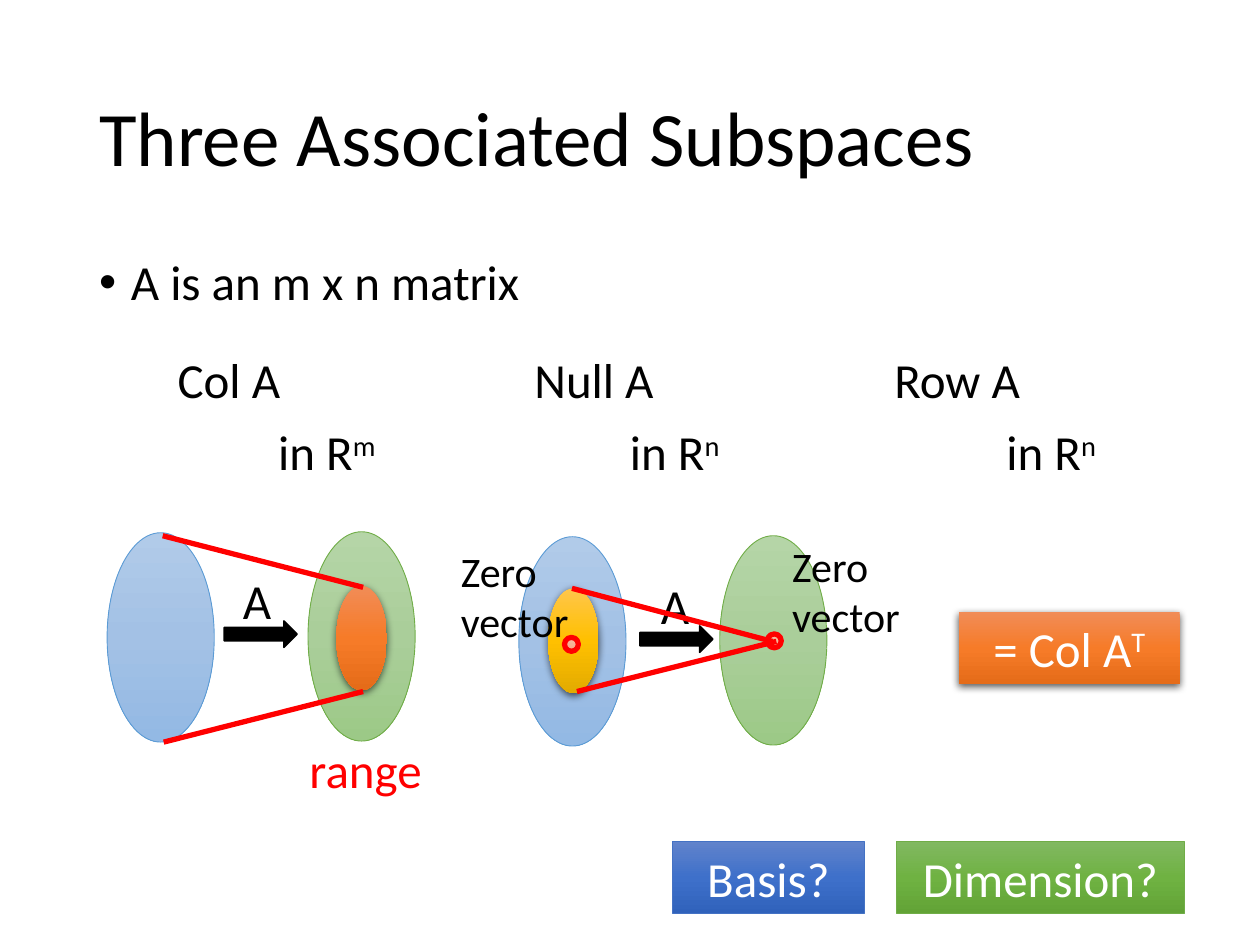
from lxml.etree import SubElement
from copy import deepcopy
from pptx import Presentation
from pptx.dml.color import RGBColor
from pptx.enum.shapes import MSO_CONNECTOR, MSO_SHAPE
from pptx.enum.text import MSO_ANCHOR, MSO_AUTO_SIZE, PP_ALIGN
from pptx.oxml.ns import qn
from pptx.util import Cm, Pt

BLACK, WHITE, RED = "000000", "FFFFFF", "FF0000"

# Gradients from top to bottom
BLUE = ("6183CB", "3E70CA", "3062BB")
GREEN = ("81B861", "6FB242", "62A336")
ORANGE = ("F18C57", "F67B28", "E56C19")
GOLD = ("FFC64B", "FFC000", "E3AB00")
PALE_BLUE = ("B1CBE9", "A3C1E5", "93B9E4")
PALE_GREEN = ("B5D5A7", "AACE9A", "9CC987")
PALE_ORANGE = ("F7BDA5", "F5B196", "F8A582")

LABEL_HEIGHT = 1.45
SPACE_SIZE = (2.16, 4.22)
SUBSPACE_SIZE = (1.02, 2.11)
DOT_SIZE = (0.28, 0.28)


def color(hex_value):
    return RGBColor.from_string(hex_value)


def lengths(*values):
    return [Cm(value) for value in values]


def write(owner, text, size=28, ink=BLACK, align=PP_ALIGN.CENTER,
          superscript="", grow=True):
    frame = owner.text_frame
    frame.word_wrap = True
    frame.text = text
    paragraph = frame.paragraphs[0]
    paragraph.alignment = align
    if superscript:
        raised = paragraph.add_run()
        raised.text = superscript
        raised._r.get_or_add_rPr().set("baseline", "30000")
    for run in paragraph.runs:
        run.font.name = "Calibri"
        run.font.size = Pt(size)
        run.font.color.rgb = color(ink)
    if grow:
        frame.auto_size = MSO_AUTO_SIZE.SHAPE_TO_FIT_TEXT
    return paragraph


def add_label(slide, left, top, width, text, height=LABEL_HEIGHT, **style):
    label = slide.shapes.add_textbox(*lengths(left, top, width, height))
    write(label, text, **style)
    return label


def fill_gradient(shape, colors):
    shape.fill.gradient()
    shape.fill.gradient_angle = 270
    stop_list = shape._element.spPr.find(qn("a:gradFill")).find(qn("a:gsLst"))
    stop_list.insert(1, deepcopy(stop_list[0]))
    for index, (stop, hex_value) in enumerate(zip(shape.fill.gradient_stops, colors)):
        stop.position = index / 2
        stop.color.rgb = color(hex_value)


def add_shadow(shape):
    effects = shape._element.spPr.find(qn("a:effectLst"))
    shadow = SubElement(effects, qn("a:outerShdw"), blurRad=str(Pt(4.5)),
                        dist=str(Pt(1.5)), dir="5400000", algn="ctr", rotWithShape="0")
    tone = SubElement(shadow, qn("a:srgbClr"), val=BLACK)
    SubElement(tone, qn("a:alpha"), val="63000")


def add_figure(slide, kind, left, top, size, fill, outline=None, weight=0.5):
    """Draw a preset shape; one without an outline gets a shadow."""
    figure = slide.shapes.add_shape(kind, *lengths(left, top, *size))
    figure.shadow.inherit = False
    if isinstance(fill, str):
        figure.fill.solid()
        figure.fill.fore_color.rgb = color(fill)
    else:
        fill_gradient(figure, fill)
    if outline:
        figure.line.color.rgb = color(outline)
        figure.line.width = Pt(weight)
    else:
        figure.line.fill.background()
        add_shadow(figure)
    return figure


def add_box(slide, left, top, width, text, fill, outline=None, superscript=""):
    box = add_figure(slide, MSO_SHAPE.RECTANGLE, left, top,
                     (width, LABEL_HEIGHT), fill, outline)
    write(box, text, ink=WHITE, superscript=superscript)


def add_ray(slide, *ends):
    ray = slide.shapes.add_connector(MSO_CONNECTOR.STRAIGHT, *lengths(*ends))
    ray.line.color.rgb = color(RED)
    ray.line.width = Pt(3)
    SubElement(ray._element.spPr, qn("a:effectLst"))


def add_heading(slide):
    title = add_label(slide, 1.75, 1.02, 21.89, "Three Associated Subspaces",
                      height=3.68, size=44, align=PP_ALIGN.LEFT, grow=False)
    title.text_frame.vertical_anchor = MSO_ANCHOR.MIDDLE
    title.text_frame.paragraphs[0].line_spacing = 0.9

    statement = add_label(slide, 1.75, 5.08, 21.89, "A is an m x n matrix",
                          height=12.09, align=PP_ALIGN.LEFT, grow=False)
    bullet_line = statement.text_frame.paragraphs[0]
    bullet_line.line_spacing = 0.9
    bullet_line.space_before = Pt(10)
    properties = bullet_line._p.get_or_add_pPr()
    properties.set("marL", str(Cm(0.64)))
    properties.set("indent", str(-Cm(0.64)))
    SubElement(properties, qn("a:buFont"), typeface="Arial")
    SubElement(properties, qn("a:buChar"), char="•")


def add_mapping(slide, left, top, arrow_left, arrow_top, label_left, label_top):
    """Draw the two spaces, with the arrow A from one to the other."""
    ellipse = MSO_SHAPE.OVAL
    add_figure(slide, ellipse, left, top, SPACE_SIZE, PALE_BLUE, "5B9BD5")
    add_figure(slide, ellipse, left + 4.05, top - 0.02, SPACE_SIZE, PALE_GREEN, "70AD47")
    add_figure(slide, MSO_SHAPE.RIGHT_ARROW, arrow_left, arrow_top,
               (1.47, 0.53), BLACK, BLACK, 1)
    add_label(slide, label_left, label_top, 1.98, "A")


def add_zero_vector(slide, dot_left, dot_top, label_left, label_top):
    add_figure(slide, MSO_SHAPE.OVAL, dot_left, dot_top, DOT_SIZE, PALE_ORANGE, RED, 3)
    add_label(slide, label_left, label_top, 3.56, "Zero vector", height=2.31,
              size=24, align=PP_ALIGN.LEFT)


def main():
    presentation = Presentation()
    presentation.slide_width, presentation.slide_height = lengths(25.4, 19.05)
    slide = presentation.slides.add_slide(presentation.slide_layouts[6])
    add_heading(slide)

    # Questions at the bottom
    add_box(slide, 13.56, 16.97, 3.86, "Basis?", BLUE, "4472C4")
    add_box(slide, 18.08, 16.97, 5.79, "Dimension?", GREEN, "70AD47")

    # Subspace names and the spaces that hold them
    for name, name_left, power, space_left in (
            ("Col A", 2.39, "m", 5.36),
            ("Null A", 9.75, "n", 12.45),
            ("Row A", 17.07, "n", 20.04)):
        add_label(slide, name_left, 6.93, 4.45, name)
        add_label(slide, space_left, 8.38, 3.02, "in R",
                  align=PP_ALIGN.LEFT, superscript=power)

    # Both mappings, then the row space
    add_mapping(slide, 2.16, 10.74, 4.52, 12.52, 4.19, 11.38)
    add_mapping(slide, 10.46, 10.82, 12.9, 12.62, 12.62, 11.48)
    add_box(slide, 19.33, 12.34, 4.45, "= Col A", ORANGE, superscript="T")

    # Range and null space
    add_figure(slide, MSO_SHAPE.OVAL, 6.78, 11.81, SUBSPACE_SIZE, ORANGE)
    add_figure(slide, MSO_SHAPE.OVAL, 11.05, 11.86, SUBSPACE_SIZE, GOLD)
    add_zero_vector(slide, 15.47, 12.78, 15.72, 10.77)
    for ends in ((3.28, 10.8, 7.32, 11.84), (3.3, 14.96, 7.32, 13.94),
                 (11.53, 11.86, 15.57, 12.93), (11.63, 13.94, 15.65, 12.93)):
        add_ray(slide, *ends)
    add_label(slide, 5.59, 14.78, 3.56, "range", ink=RED)
    add_zero_vector(slide, 11.38, 12.85, 9.04, 10.87)

    presentation.save("out.pptx")


main()
